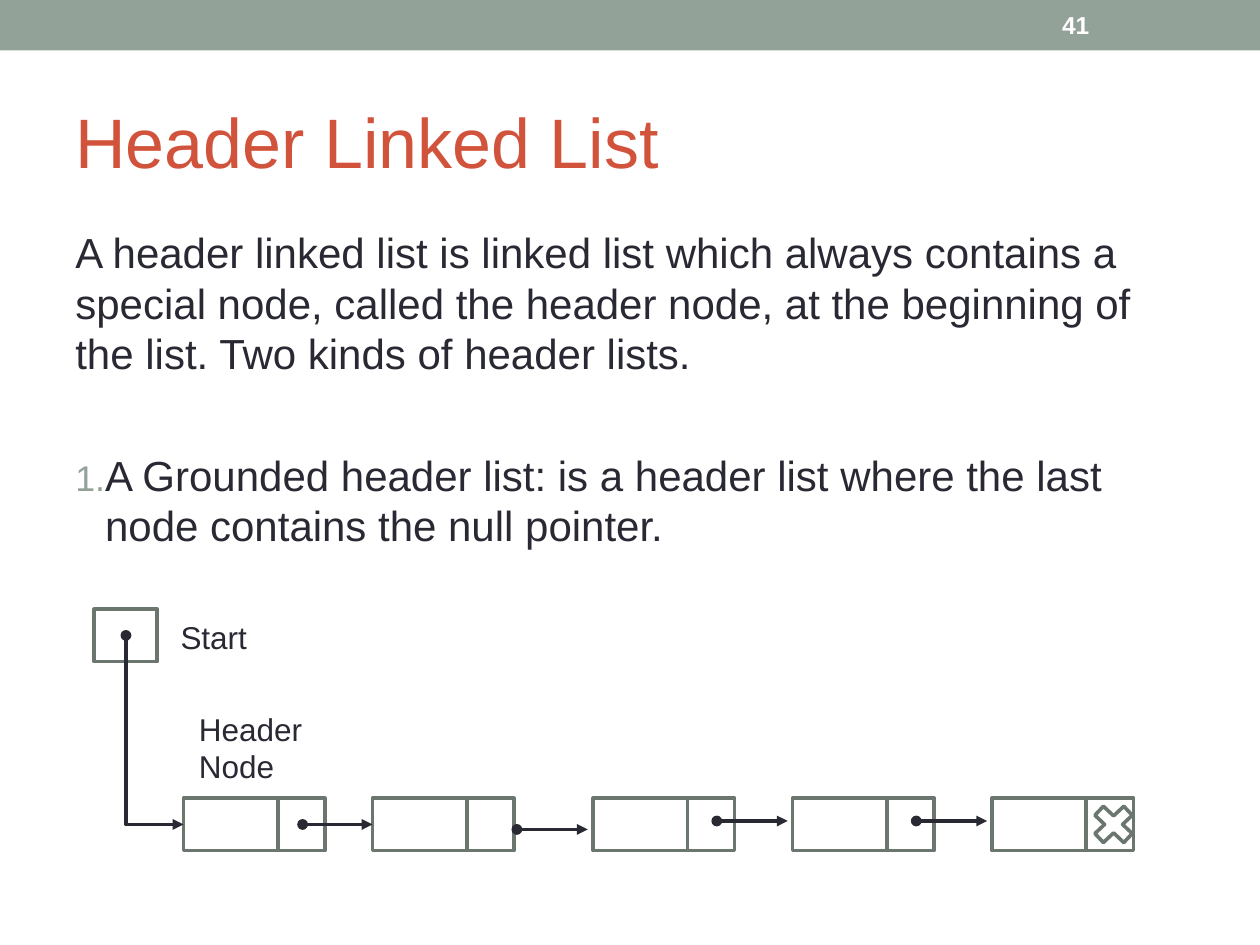
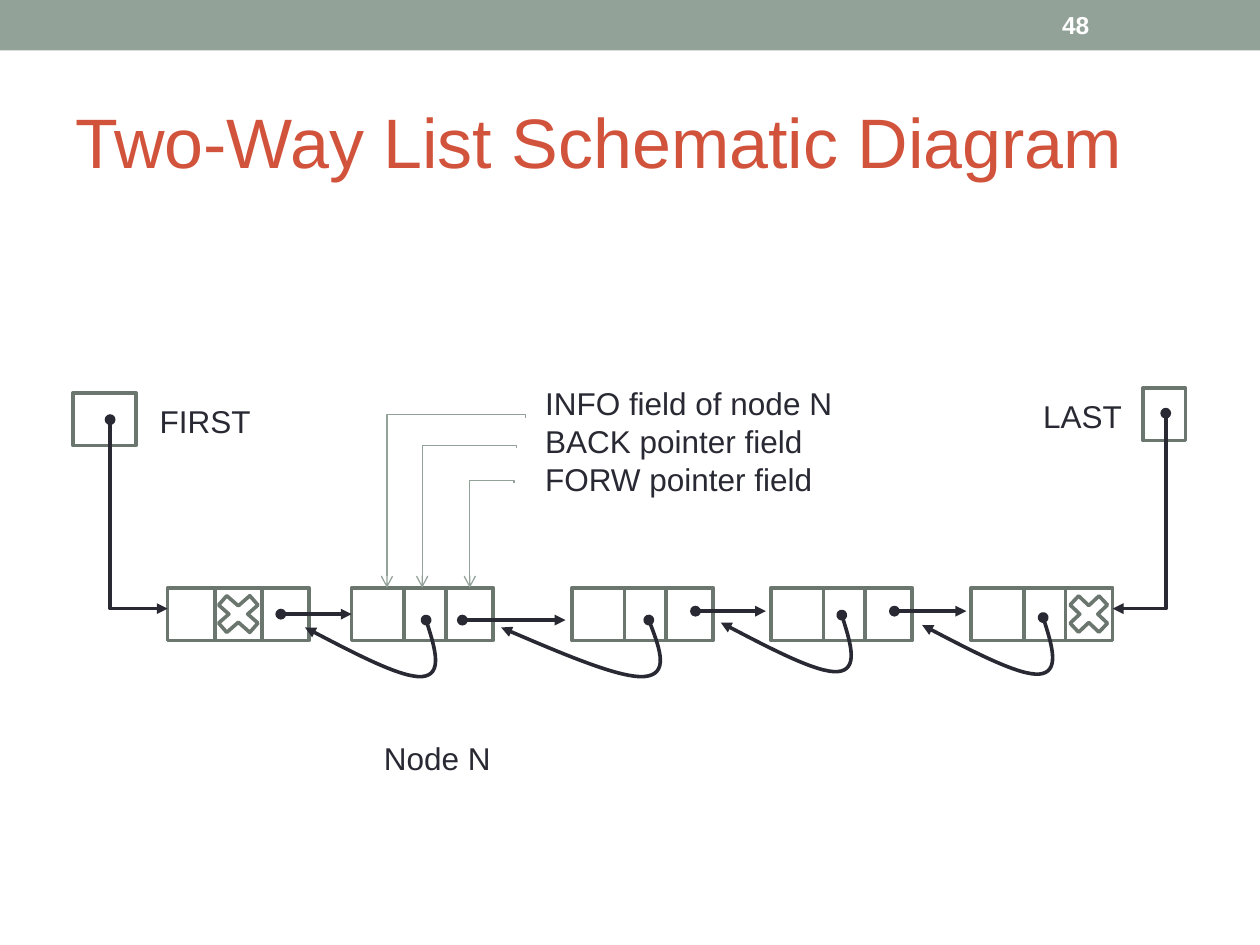
"""Build two slides on header linked lists and two-way lists."""
from dataclasses import dataclass

from lxml import etree
from pptx import Presentation, util as u
from pptx.dml.color import RGBColor
from pptx.enum import shapes, text
from pptx.oxml.ns import qn


@dataclass(frozen=True)
class Theme:
    font: str = "Arial"
    band: str = "93A299"
    title: str = "D2533C"
    ink: str = "292934"
    box: str = "6B766F"
    white: str = "FFFFFF"
    title_size: int = 40
    body_size: int = 24
    label_size: int = 18
    number_size: int = 14
    thick: float = 2.07
    thin: float = 0.75


def assign(obj, values):
    for name, value in values.items():
        setattr(obj, name, value)


def sub(parent, tag, **attrs):
    el = etree.SubElement(parent, qn(tag))
    for name, value in attrs.items():
        el.set(name, str(value))
    return el


class Deck:
    INFO, LINK, HEIGHT = 1.9, 0.95, 1.06
    CURVE = [(0.18, 0.56), (0.33, 1.1), (-0.08, 1.14),
             (-0.48, 1.17), (-1.47, 0.66), (-2.44, 0.15)]

    def __init__(self, theme):
        self.t = theme
        self.prs = Presentation()
        assign(self.prs, {"slide_width": u.Cm(25.4), "slide_height": u.Cm(19.05)})
        self.s = None

    def slide(self, title, number):
        t = self.t
        self.s = self.prs.slides.add_slide(self.prs.slide_layouts[6])
        band = self.shape(shapes.MSO_SHAPE.RECTANGLE, 0, 0, 25.4, 1.02)
        band.fill.solid()
        band.fill.fore_color.rgb = RGBColor.from_string(t.band)
        band.line.fill.background()
        middle = text.MSO_ANCHOR.MIDDLE
        self.text([title], 1.27, 1.47, 22.86, 2.74, t.title_size, t.title, anchor=middle)
        self.text([number], 21.16, 0.05, 2.97, 0.91, t.number_size, t.white,
                  anchor=middle, bold=True)

    def text(self, lines, x, y, w, h, size=None, color=None, wrap=True,
             anchor=text.MSO_ANCHOR.TOP, bold=False):
        size = size or self.t.label_size
        tf = self.s.shapes.add_textbox(*map(u.Cm, (x, y, w, h))).text_frame
        assign(tf, {"word_wrap": wrap, "vertical_anchor": anchor})
        for i, line in enumerate(lines):
            p = tf.add_paragraph() if i else tf.paragraphs[0]
            p.line_spacing = u.Pt(1.2 * size)
            r = p.add_run()
            r.text = line
            assign(r.font, {"name": self.t.font, "size": u.Pt(size), "bold": bold})
            r.font.color.rgb = RGBColor.from_string(color or self.t.ink)
        return tf

    def number(self, p, gap, indent):
        p.space_before = u.Pt(gap)
        pPr = p._p.get_or_add_pPr()
        pPr.set("marL", str(u.Cm(indent)))
        pPr.set("indent", str(-u.Cm(indent)))
        sub(sub(pPr, "a:buClr"), "a:srgbClr", val=self.t.band)
        sub(pPr, "a:buSzPct", val=85000)
        sub(pPr, "a:buAutoNum", type="arabicPeriod")

    def stroke(self, sp, color, width, head=None, tail=None):
        sp.line.color.rgb = RGBColor.from_string(color)
        sp.line.width = u.Pt(width)
        ln = sp._element.spPr.find(qn("a:ln"))
        for tag, kind in (("a:headEnd", head), ("a:tailEnd", tail)):
            if kind:
                sub(ln, tag, type=kind)

    def shape(self, kind, x, y, w, h):
        sp = self.s.shapes.add_shape(kind, *map(u.Cm, (x, y, w, h)))
        sp.shadow.inherit = False
        sp.fill.background()
        self.stroke(sp, self.t.box, self.t.thick)
        return sp

    def box(self, x, y, w):
        return self.shape(shapes.MSO_SHAPE.RECTANGLE, x, y, w, self.HEIGHT)

    def cross(self, x, y, w):
        self.shape(shapes.MSO_SHAPE.MATH_MULTIPLY, x, y, w, self.HEIGHT)

    def node(self, x, y, back=None):
        info = self.box(x, y, self.INFO)
        self.box(x + self.INFO, y, self.LINK)
        if back:
            self.box(x + self.INFO - back, y, back)
        return info

    def connector(self, kind, start, end, color, width, head, tail):
        c = self.s.shapes.add_connector(kind, *map(u.Cm, (*start, *end)))
        self.stroke(c, color, width, head, tail)
        sub(c._element.spPr, "a:effectLst")
        return c

    def arrow(self, x1, y1, x2, y2, target=None):
        c = self.connector(shapes.MSO_CONNECTOR.STRAIGHT, (x1, y1), (x2, y2),
                           self.t.ink, self.t.thick, "oval", "triangle")
        if target:
            c.end_connect(target, 1)

    def elbow(self, x1, y1, x2, y2, pointer=True):
        cx, cy = (x1 + x2) / 2, (y1 + y2) / 2
        dx, dy = abs(x2 - x1) / 2, abs(y2 - y1) / 2
        look = ((self.t.ink, self.t.thick, "oval", "triangle") if pointer
                else (self.t.band, self.t.thin, None, "arrow"))
        c = self.connector(shapes.MSO_CONNECTOR.ELBOW, (cx - dy, cy - dx),
                           (cx + dy, cy + dx), *look)
        spPr = c._element.spPr
        xfrm, geom = spPr.find(qn("a:xfrm")), spPr.find(qn("a:prstGeom"))
        xfrm.set("rot", str((270 if x2 > x1 else 90) * 60000))
        if x2 > x1:
            xfrm.set("flipH", "1")
        if pointer:
            geom.set("prst", "bentConnector2")
        else:
            guides = geom.find(qn("a:avLst"))
            if guides is None:
                guides = sub(geom, "a:avLst")
            sub(guides, "a:gd", name="adj1", fmla="val -2000")

    def back_arrow(self, x, y, stretch=1):
        fb = self.s.shapes.build_freeform(u.Cm(x), u.Cm(y))
        fb.add_line_segments([(u.Cm(x + dx * stretch), u.Cm(y + dy))
                              for dx, dy in self.CURVE], close=False)
        sp = fb.convert_to_shape()
        sp.shadow.inherit = False
        sp.fill.background()
        self.stroke(sp, self.t.ink, self.t.thick, "oval", "triangle")
        outline = next(sp._element.iter(qn("a:path")))
        lines = outline.findall(qn("a:lnTo"))
        for i in range(0, len(lines), 3):
            bezier = sub(outline, "a:cubicBezTo")
            for line in lines[i:i + 3]:
                bezier.append(line[0])
                outline.remove(line)


def header_list(d):
    d.slide("Header Linked List", "41")
    tf = d.text([
        "A header linked list is linked list which always contains a special node, "
        "called the header node, at the beginning of the list. Two kinds of header lists.",
        "A Grounded header list: is a header list where the last node contains "
        "the null pointer."], 1.27, 4.45, 22.86, 13.54, d.t.body_size)
    d.number(tf.paragraphs[1], 40.8, 0.6)
    y = 16.09
    nodes = [d.node(x, y) for x in (3.7, 7.51, 11.96, 15.98, 20)]
    d.cross(21.89, y, 1.12)
    d.box(1.9, 12.28, 1.27)
    d.elbow(2.54, 12.81, 3.7, 16.62)
    d.arrow(6.1, 16.62, 7.51, 16.62, nodes[1])
    for x, ay in ((10.42, 16.72), (14.45, 16.55), (18.47, 16.55)):
        d.arrow(x, ay, x + 1.43, ay)
    d.text(["Start"], 3.39, 12.33, 3.1, 1.02)
    d.text(["Header", "Node"], 3.76, 14.18, 2.6, 1.78, wrap=False)


def two_way_list(d):
    d.slide("Two-Way List Schematic Diagram", "48")
    y = 11.85
    nodes = [d.node(x, y, back) for x, back in
             ((3.38, 0.95), (7.09, 0.84), (11.53, 0.84), (15.54, 0.84), (19.58, 0.84))]
    for x, w in ((4.2, 1.21), (21.39, 1.12)):
        d.cross(x, y, w)
    d.box(1.47, 7.92, 1.27)
    d.box(23.04, 7.82, 0.86)
    d.elbow(2.22, 8.46, 3.38, 12.27)
    d.elbow(23.5, 8.33, 22.43, 12.27)
    d.arrow(5.66, 12.38, 7.09, 12.38, nodes[1])
    for x1, x2, ay in ((9.32, 11.4, 12.5), (14.02, 15.44, 12.32), (18.03, 19.48, 12.32)):
        d.arrow(x1, ay, x2, ay)
    for x, ay, stretch in ((8.59, 12.5, 1), (13.08, 12.5, 1.22),
                           (16.97, 12.4, 1), (21.03, 12.45, 1)):
        d.back_arrow(x, ay, stretch)
    for x1, y1, x2 in ((10.59, 8.43, 7.8), (10.36, 9.73, 9.47), (10.41, 9.04, 8.51)):
        d.elbow(x1, y1, x2, y, pointer=False)
    d.text(["FIRST"], 2.97, 7.98, 3.1, 1.02)
    d.text(["LAST"], 20.78, 7.87, 2.11, 1.02)
    d.text(["INFO field of node N", "BACK pointer field", "FORW pointer field"],
           10.74, 7.62, 6.3, 2.54, wrap=False)
    d.text(["Node N"], 7.49, 14.78, 2.67, 1.02, wrap=False)


def main():
    d = Deck(Theme())
    header_list(d)
    two_way_list(d)
    d.prs.save("out.pptx")


if __name__ == "__main__":
    main()
